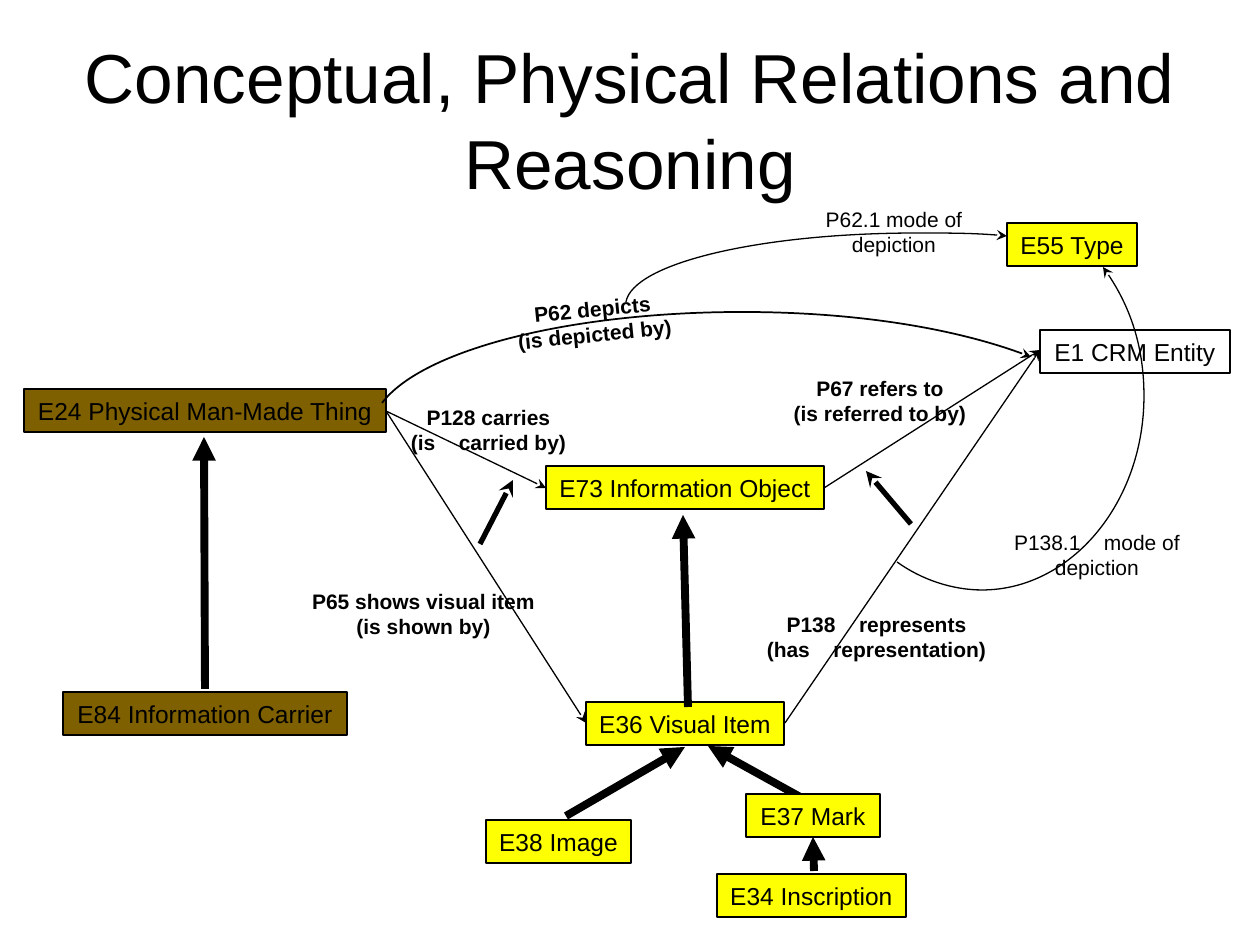
from lxml import etree
from pptx import Presentation
from pptx.dml.color import RGBColor
from pptx.enum.shapes import MSO_CONNECTOR, MSO_SHAPE
from pptx.enum.text import MSO_ANCHOR, MSO_AUTO_SIZE, PP_ALIGN
from pptx.oxml.ns import qn
from pptx.util import Pt

RECTANGLE = MSO_SHAPE.RECTANGLE
STRAIGHT = MSO_CONNECTOR.STRAIGHT
CENTER = PP_ALIGN.CENTER
MIDDLE = MSO_ANCHOR.MIDDLE
GROW = MSO_AUTO_SIZE.SHAPE_TO_FIT_TEXT

PX = 914400 / 126  # EMU per pixel
THEME = {
    "font": "Arial",
    "ink": RGBColor(0x00, 0x00, 0x00),
    "physical": RGBColor(0x7F, 0x60, 0x00),
    "conceptual": RGBColor(0xFE, 0xFF, 0x02),
    "title_size": Pt(39.6),
    "class_size": Pt(14),
    "label_size": Pt(12),
    "thin": Pt(0.75),
    "curve": Pt(1),
    "medium": Pt(3),
    "thick": Pt(4.5),
}
WIDE_GAP = "1000"  # extra spacing of a wide gap, in hundredths of a point
BOX_HEIGHT = 43
LABEL_HEIGHT = 63


def px(*lengths):
    return [round(length * PX) for length in lengths]


def write_text(shape, lines, size, bold=False):
    """Centre the lines in the shape; each "|" in a line is a wide gap."""
    frame = shape.text_frame
    frame.word_wrap = False
    frame.auto_size = GROW
    for number, line in enumerate(lines):
        paragraph = frame.add_paragraph() if number else frame.paragraphs[0]
        paragraph.alignment = CENTER
        for piece in line.replace("|", "| |").split("|"):
            run = paragraph.add_run()
            run.text = piece
            run.font.name = THEME["font"]
            run.font.size = size
            run.font.bold = bold
            run.font.color.rgb = THEME["ink"]
            if piece == " ":
                run.font._element.set("spc", WIDE_GAP)


presentation = Presentation()
presentation.slide_width, presentation.slide_height = px(1260, 945)
slide = presentation.slides.add_slide(presentation.slide_layouts[6])
shapes = slide.shapes

title = shapes.add_textbox(*px(63, 38, 1134, 158))
write_text(title, ["Conceptual, Physical Relations and Reasoning"], THEME["title_size"])
title.text_frame.auto_size = MSO_AUTO_SIZE.NONE
title.text_frame.word_wrap = True
title.text_frame.vertical_anchor = MIDDLE
title.text_frame.paragraphs[0].line_spacing = 1.04

# Classes: name, left, top, width, fill
classes = [
    ("E24 Physical Man-Made Thing", 24, 389, 362, "physical"),
    ("E84 Information Carrier", 63, 692, 284, "physical"),
    ("E55 Type", 1007, 223, 130, "conceptual"),
    ("E1 CRM Entity", 1040, 330, 190, None),
    ("E73 Information Object", 546, 466, 278, "conceptual"),
    ("E36 Visual Item", 586, 702, 198, "conceptual"),
    ("E38 Image", 486, 820, 145, "conceptual"),
    ("E37 Mark", 746, 794, 134, "conceptual"),
    ("E34 Inscription", 717, 874, 189, "conceptual"),
]
class_boxes = {}
for name, left, top, width, fill in classes:
    box = shapes.add_shape(RECTANGLE, *px(left, top, width, BOX_HEIGHT))
    box.shadow.inherit = False
    if fill:
        box.fill.solid()
        box.fill.fore_color.rgb = THEME[fill]
    else:
        box.fill.background()
    box.line.color.rgb = THEME["ink"]
    box.line.width = THEME["thin"]
    write_text(box, [name], THEME["class_size"])
    class_boxes[name] = box

# Arrows: width, head, then two end points, or a start and Bezier triples
arrows = [
    # P138.1 mode of depiction
    ("thin", "stealth", [(897, 562), (922, 580), (953, 590), (982, 590),
                         (1071, 590), (1144, 503), (1144, 396),
                         (1144, 348), (1129, 302), (1103, 267)]),
    # P62.1 mode of depiction
    ("thin", "stealth", [(626, 302), (633, 263), (761, 233), (917, 233),
                         (948, 233), (978, 233), (1007, 236)]),
    # P62 depicts
    ("curve", "stealth", [(382, 403), (423, 349), (572, 312), (742, 312),
                          (854, 312), (960, 329), (1031, 357)]),
    # P65, P138, P67 and P128
    ("thin", "stealth", [(386, 411), (586, 723)]),
    ("thin", "stealth", [(785, 723), (1040, 350)]),
    ("thin", "stealth", [(824, 488), (1040, 350)]),
    ("thin", "stealth", [(386, 411), (546, 488)]),
    # Subproperties
    ("medium", "stealth", [(480, 544), (513, 480)]),
    ("medium", "stealth", [(911, 524), (866, 471)]),
    # Subclasses
    ("thick", "triangle", [(205, 689), (204, 437)]),
    ("thick", "triangle", [(688, 707), (683, 515)]),
    ("thick", "triangle", [(566, 816), (685, 747)]),
    ("thick", "triangle", [(822, 809), (708, 746)]),
    ("thick", "triangle", [(814, 871), (813, 837)]),
]
for width, head, points in arrows:
    if len(points) == 2:
        arrow = shapes.add_connector(STRAIGHT, *px(*points[0], *points[1]))
    else:
        builder = shapes.build_freeform(*points[0], scale=PX)
        builder.add_line_segments(points[1:], close=False)
        arrow = builder.convert_to_shape()
        arrow.fill.background()
        # Join each three line segments into one cubic curve
        outline = arrow.element.find(".//" + qn("a:path"))
        segments = outline.findall(qn("a:lnTo"))
        for start in range(0, len(segments), 3):
            segments[start].tag = qn("a:cubicBezTo")
            for segment in segments[start + 1:start + 3]:
                segments[start].append(segment[0])
                outline.remove(segment)
    arrow.line.color.rgb = THEME["ink"]
    arrow.line.width = THEME[width]
    line = arrow.element.find(".//" + qn("a:ln"))
    etree.SubElement(line, qn("a:tailEnd"), type=head)
    etree.SubElement(line.getparent(), qn("a:effectLst"))

# The mark covers the foot of its subclass arrow
shapes.element.append(class_boxes["E37 Mark"].element)

# Property labels: lines, left, top, width, bold, rotation
labels = [
    (["P62 depicts", "(is depicted by)"], 503, 290, 181, True, -5.7),
    (["P62.1 mode of", "depiction"], 809, 200, 170, False, 0),
    (["P65 shows visual item", "(is shown by)"], 295, 582, 257, True, 0),
    (["P138|represents", "(has|representation)"], 753, 605, 247, True, 0),
    (["P67 refers to", "(is referred to by)"], 780, 369, 200, True, 0),
    (["P128 carries", "(is|carried by)"], 397, 398, 183, True, 0),
    (["P138.1|mode of", "depiction"], 997, 523, 200, False, 0),
]
for lines, left, top, width, bold, rotation in labels:
    label = shapes.add_textbox(*px(left, top, width, LABEL_HEIGHT))
    label.rotation = rotation
    write_text(label, lines, THEME["label_size"], bold)

presentation.save("out.pptx")
